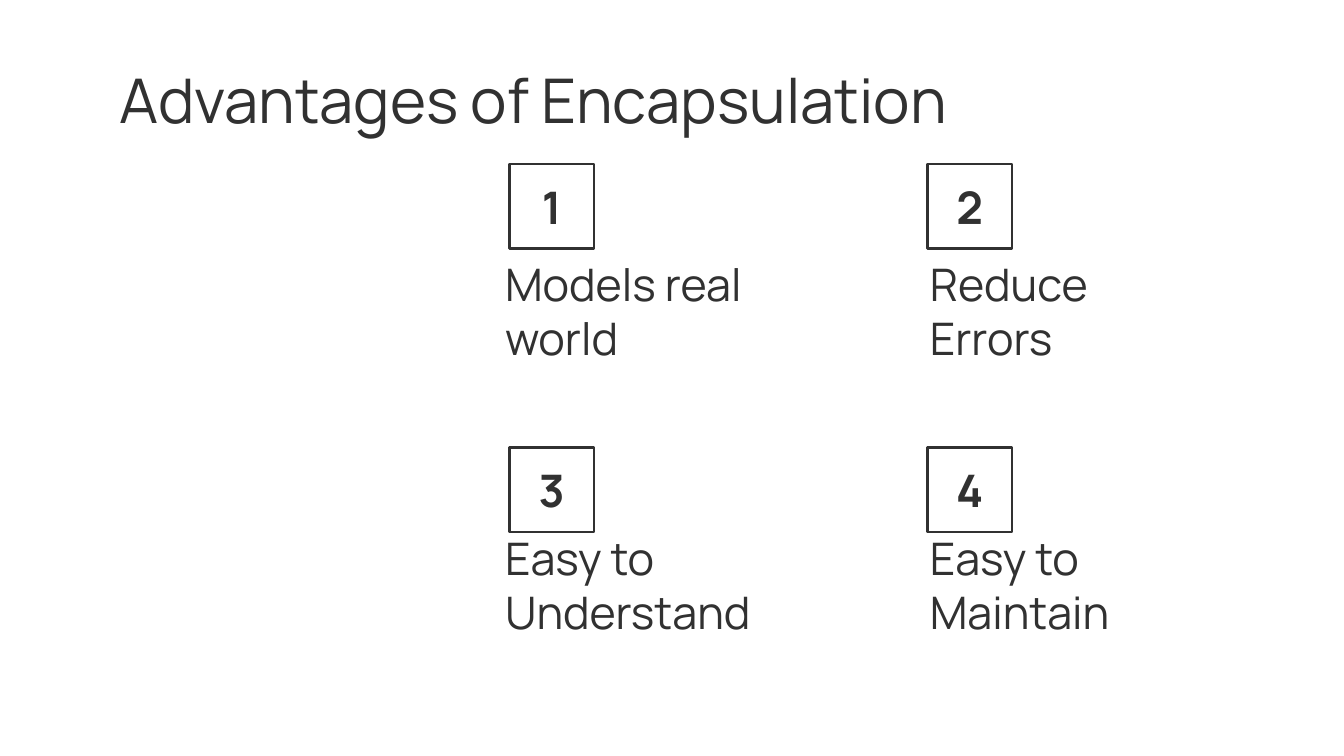
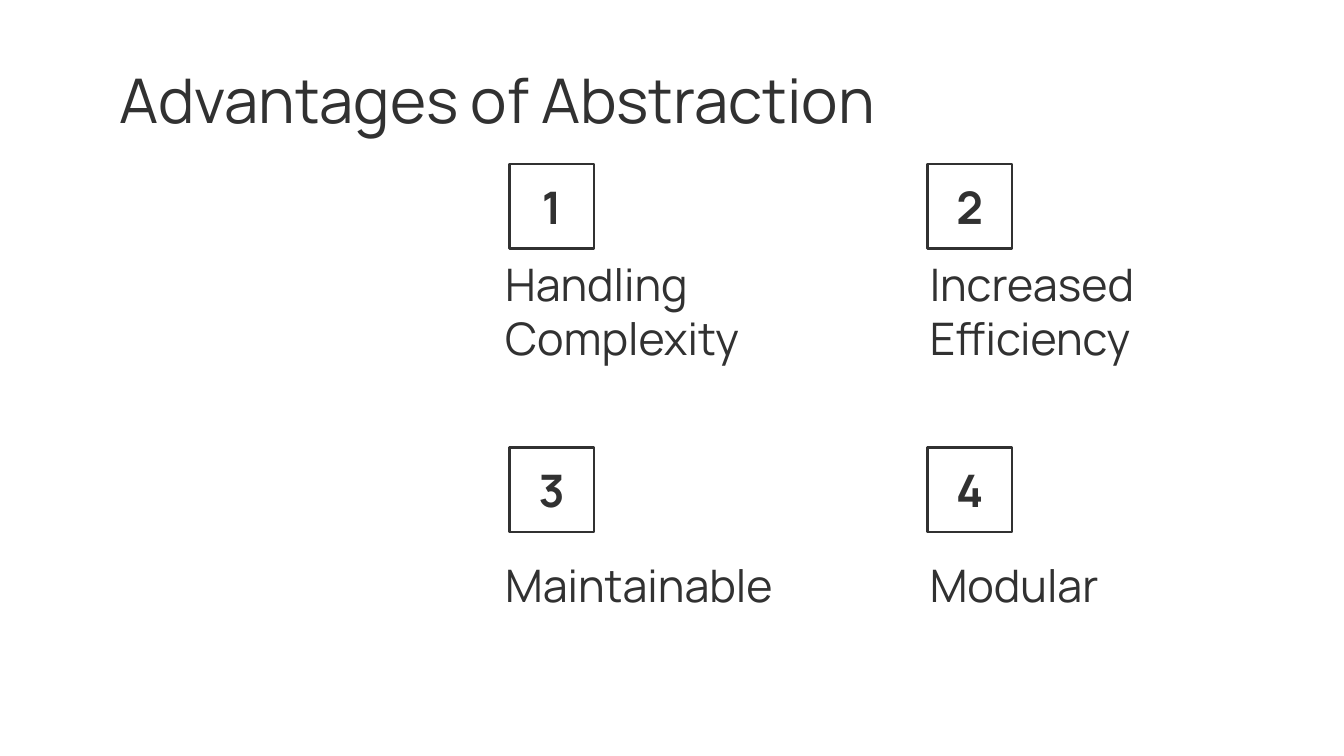
from dataclasses import dataclass

from pptx import Presentation
from pptx.dml.color import RGBColor
from pptx.enum.shapes import MSO_SHAPE
from pptx.enum.text import MSO_ANCHOR, PP_ALIGN
from pptx.util import Pt


@dataclass(frozen=True)
class Theme:
    font: str = "Manrope"
    ink: RGBColor = RGBColor(0x31, 0x31, 0x31)
    head: float = 33
    body: float = 24
    line: float = 1.5
    inset: float = 7.2


# Grid of numbered items
BOX_X, BOX_Y = (272.88, 496.8), (87.84, 239.76)
TEXT_X, TEXT_Y = (263.52, 491.04), (137.52, 284.4)
BOX, TEXT_W, TEXT_H = 45.36, 151.2, 57.6

# Each label with its own width
SLIDES = {
    "Advantages of Encapsulation": (
        ("Models real world", TEXT_W),
        ("Reduce Errors", TEXT_W),
        ("Easy to Understand", 162.72),
        ("Easy to Maintain", TEXT_W),
    ),
    "Advantages of Abstraction": (
        ("Handling Complexity", 159.12),
        ("Increased Efficiency", TEXT_W),
        ("Maintainable", 179.28),
        ("Modular", TEXT_W),
    ),
}


class Deck:
    def __init__(self, theme):
        self.theme = theme
        self.file = Presentation()
        self.file.slide_width, self.file.slide_height = Pt(720), Pt(405)
        self.slide = None

    def page(self):
        self.slide = self.file.slides.add_slide(self.file.slide_layouts[6])

    def label(self, shape, text, size, bold=False, align=PP_ALIGN.LEFT):
        frame = shape.text_frame
        frame.word_wrap = True
        frame.vertical_anchor = MSO_ANCHOR.MIDDLE
        inset = Pt(self.theme.inset)
        frame.margin_left = frame.margin_right = inset
        frame.margin_top = frame.margin_bottom = inset
        par = frame.paragraphs[0]
        par.text, par.alignment = text, align
        font = par.font
        font.name, font.size, font.bold = self.theme.font, Pt(size), bold
        font.color.rgb = self.theme.ink

    def text(self, text, x, y, w, h, size):
        box = self.slide.shapes.add_textbox(Pt(x), Pt(y), Pt(w), Pt(h))
        self.label(box, text, size)

    def title(self, text):
        self.text(text, 56.88, 30.24, 521.28, 45.36, self.theme.head)

    def badge(self, text, x, y):
        box = self.slide.shapes.add_shape(
            MSO_SHAPE.RECTANGLE, Pt(x), Pt(y), Pt(BOX), Pt(BOX))
        box.shadow.inherit = False
        box.fill.background()
        box.line.color.rgb = self.theme.ink
        box.line.width = Pt(self.theme.line)
        self.label(box, text, self.theme.body, True, PP_ALIGN.CENTER)


def main():
    deck = Deck(Theme())
    for title, items in SLIDES.items():
        deck.page()
        deck.title(title)
        # Numbered items, row by row
        for i, (name, width) in enumerate(items):
            row, col = divmod(i, 2)
            deck.badge(str(i + 1), BOX_X[col], BOX_Y[row])
            deck.text(name, TEXT_X[col], TEXT_Y[row], width, TEXT_H,
                      deck.theme.body)
    deck.file.save("out.pptx")


if __name__ == "__main__":
    main()
